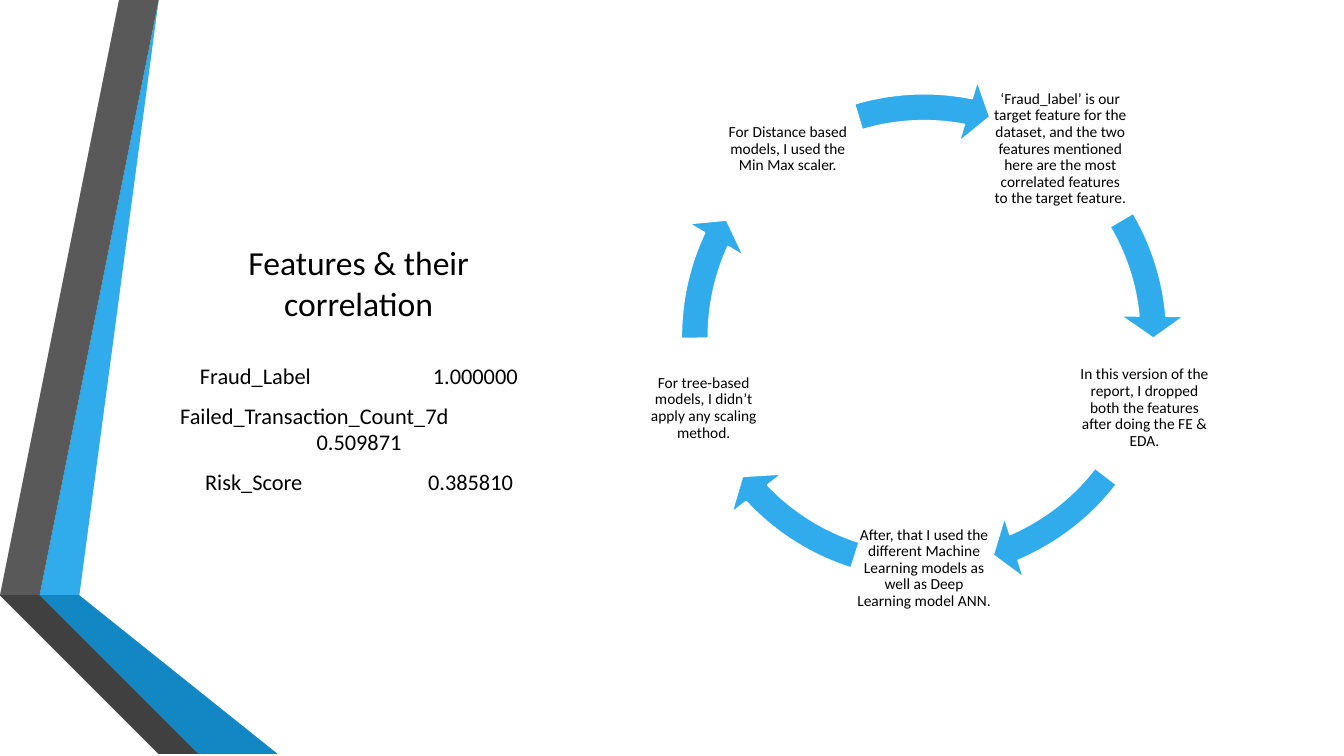
import math

from pptx import Presentation
from pptx.dml.color import RGBColor
from pptx.enum.shapes import MSO_SHAPE
from pptx.enum.text import MSO_ANCHOR, PP_ALIGN
from pptx.oxml.ns import qn
from pptx.util import Cm, Pt
from lxml import etree

CIRCULAR_ARROW = MSO_SHAPE.CIRCULAR_ARROW
MIDDLE, BOTTOM = MSO_ANCHOR.MIDDLE, MSO_ANCHOR.BOTTOM
LEFT, CENTER = PP_ALIGN.LEFT, PP_ALIGN.CENTER

BLACK = RGBColor(0x00, 0x00, 0x00)
WHITE = RGBColor(0xFF, 0xFF, 0xFF)
SKY = RGBColor(0x30, 0xAC, 0xEC)
BLUE = RGBColor(0x12, 0x87, 0xC3)
NAVY = RGBColor(0x0C, 0x5A, 0x82)
GREY = RGBColor(0x59, 0x59, 0x59)
CHARCOAL = RGBColor(0x40, 0x40, 0x40)
DARK = RGBColor(0x26, 0x26, 0x26)

FONT = "Calibri"
CYCLE_X, CYCLE_Y, CYCLE_RADIUS = 23.29, 8.48, 5.84
STEP_SIZE, RING_SIZE = 3.5, 13.16

RIBBONS = [
    (SKY, [(1.27, 14.68), (1.96, 14.81), (4.39, 0), (3.68, 0)]),
    (GREY, [(3.53, 0), (2.82, 0), (0.41, 14.55), (1.12, 14.66)]),
    (DARK, [(0.41, 14.55), (3.68, 19.05), (3.84, 19.05)]),
    (NAVY, [(1.27, 14.71), (5.28, 19.05), (5.44, 19.05)]),
    (BLUE, [(1.27, 14.68), (1.27, 14.71), (5.44, 19.05), (7.19, 19.05), (1.96, 14.81)]),
    (CHARCOAL, [(5.13, 19.05), (1.22, 14.81), (1.12, 14.66), (0.41, 14.55), (3.84, 19.05)]),
]

STEPS = [
    ("‘Fraud_label’ is our target feature for the dataset, and the two features "
     "mentioned here are the most correlated features to the target feature.", 329.45, 354.88),
    ("In this version of the report, I dropped both the features after doing the FE & EDA.",
     37.57, 66.9),
    ("After, that I used the different Machine Learning models as well as Deep Learning "
     "model ANN.", 107.5, 136.83),
    ("For tree-based models, I didn’t apply any scaling method.", 179.52, 204.95),
    ("For Distance based models, I used the Min Max scaler.", 253.32, 281.08),
]

CORRELATIONS = [
    (["\tFraud_Label\t1.000000"], [0.5, 6.37]),
    (["Failed_Transaction_Count_7d", "\t0.509871"], [3.44]),
    (["\tRisk_Score\t0.385810"], [0.63, 6.25]),
]


def add_ribbon(s, color, points):
    builder = s.shapes.build_freeform(*points[0], scale=Cm(1))
    builder.add_line_segments(points[1:], close=True)
    sp = builder.convert_to_shape()
    sp.shadow.inherit = False
    sp.fill.solid()
    sp.fill.fore_color.rgb = color
    sp.line.fill.background()


def add_box(s, left, top, width, height, anchor):
    tf = s.shapes.add_textbox(Cm(left), Cm(top), Cm(width), Cm(height)).text_frame
    tf.word_wrap = True
    tf.vertical_anchor = anchor
    return tf


def add_run(p, text, size):
    r = p.add_run()
    r.text = text
    r.font.name = FONT
    r.font.size = Pt(size)
    r.font.color.rgb = BLACK


def add_tabs(p, stops):
    tabs = etree.SubElement(p._p.get_or_add_pPr(), qn("a:tabLst"))
    for stop in stops:
        etree.SubElement(tabs, qn("a:tab"), pos=str(Cm(stop)), algn="l")


def add_title(s, text):
    p = add_box(s, 4.11, 4.45, 9.86, 3.81, BOTTOM).paragraphs[0]
    p.alignment = CENTER
    add_run(p, text, 24)


def add_correlations(s):
    tf = add_box(s, 4.11, 8.26, 9.86, 5.08, MIDDLE)
    tf.margin_left = Cm(0.43)
    for i, (lines, stops) in enumerate(CORRELATIONS):
        p = tf.add_paragraph() if i else tf.paragraphs[0]
        p.alignment = LEFT
        p.space_after = Pt(6)
        if i:
            p.space_before = Pt(3.2)
        add_tabs(p, stops)
        for j, line in enumerate(lines):
            if j:
                p.add_line_break()
            add_run(p, line, 16)


def add_step(s, text, angle):
    left = CYCLE_X + CYCLE_RADIUS * math.cos(angle) - STEP_SIZE / 2
    top = CYCLE_Y + CYCLE_RADIUS * math.sin(angle) - STEP_SIZE / 2
    tf = add_box(s, left, top, STEP_SIZE, STEP_SIZE, MIDDLE)
    tf.margin_left = tf.margin_right = tf.margin_top = tf.margin_bottom = Cm(0.05)
    p = tf.paragraphs[0]
    p.alignment = CENTER
    p.line_spacing = 0.9
    add_run(p, text, 11)


def add_arc_arrow(s, start, end):
    sp = s.shapes.add_shape(CIRCULAR_ARROW, Cm(CYCLE_X - RING_SIZE / 2),
                            Cm(CYCLE_Y - RING_SIZE / 2), Cm(RING_SIZE), Cm(RING_SIZE))
    for i, value in enumerate([0.052, 5.6 * 0.6, end * 0.6, start * 0.6, 0.061]):
        sp.adjustments[i] = value
    sp.shadow.inherit = False
    sp.fill.solid()
    sp.fill.fore_color.rgb = SKY
    sp.line.color.rgb = WHITE
    sp.line.width = Pt(1.25)


def main():
    prs = Presentation()
    prs.slide_width, prs.slide_height = Cm(33.87), Cm(19.05)
    s = prs.slides.add_slide(prs.slide_layouts[6])
    for color, points in RIBBONS:
        add_ribbon(s, color, points)
    add_title(s, "Features & their correlation")
    for i, (text, start, end) in enumerate(STEPS):
        add_step(s, text, math.radians(-54 + i * 360 / len(STEPS)))
        add_arc_arrow(s, start, end)
    add_correlations(s)
    prs.save("out.pptx")


if __name__ == "__main__":
    main()
